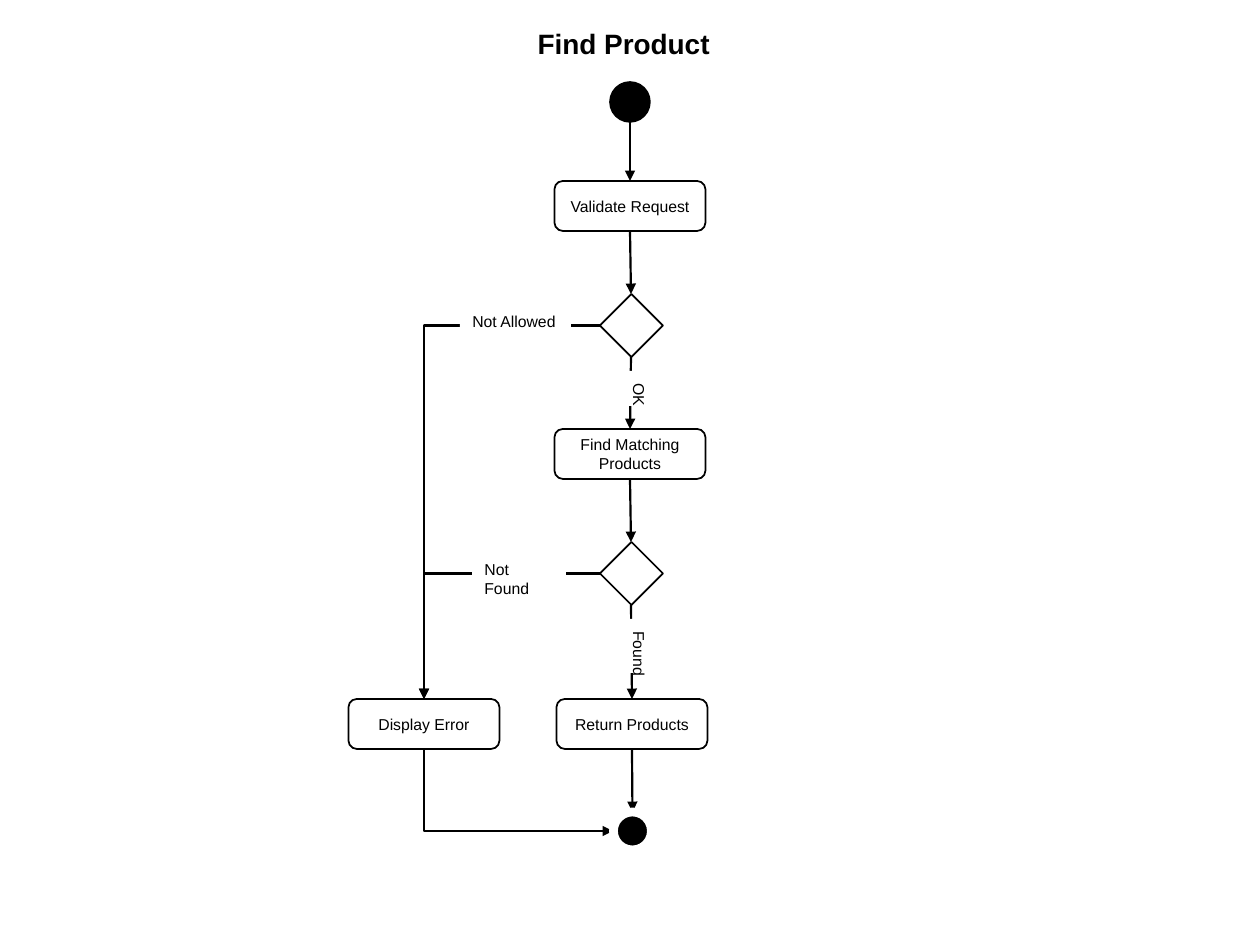
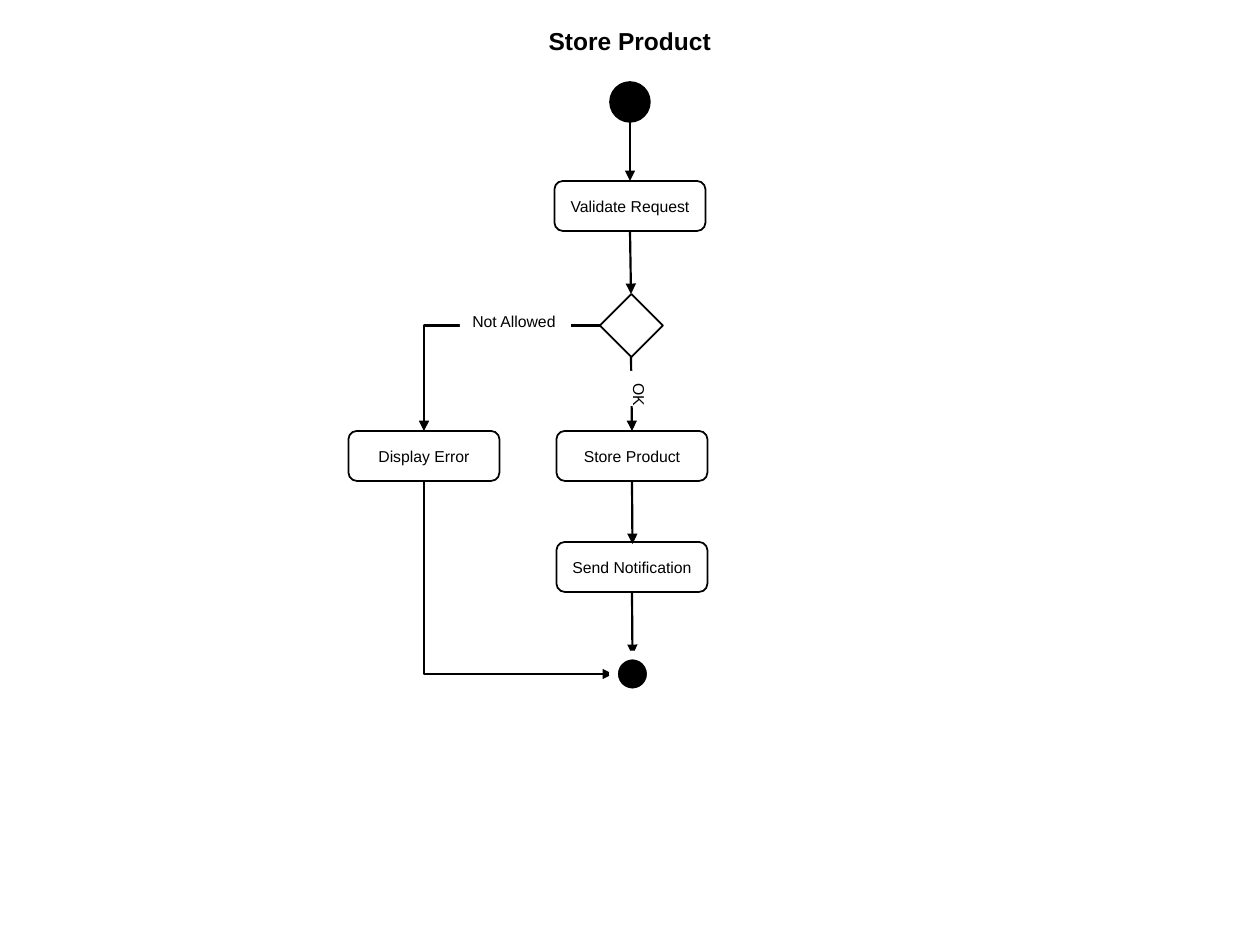
import pptx
import pptx.util
import pptx.dml.color
import pptx.enum.shapes
import pptx.enum.text
import pptx.oxml
import pptx.oxml.ns

SCALE = 914400 / 126
FONT = "Arial"
BLACK, WHITE = "000000", "FFFFFF"
TEXT_SIZE = 9
BOX_W, BOX_H = 151, 50
DIAMOND = 63
DOT = 38
FLOW_X, ERROR_X = 630, 424  # centre lines of the main flow and the error branch
FLOW_TOP = 83
STEP = 63                   # usual length of an arrow
PRESETS = pptx.enum.shapes.MSO_SHAPE
CONNECTORS = pptx.enum.shapes.MSO_CONNECTOR
ALIGN = pptx.enum.text.PP_ALIGN
ANCHOR = pptx.enum.text.MSO_ANCHOR
AUTO_SIZE = pptx.enum.text.MSO_AUTO_SIZE


def px(*lengths):
    """Turn pixels into EMU."""
    return [pptx.util.Emu(round(length * SCALE)) for length in lengths]


def color(hex_string):
    """Make a colour from a hex string."""
    return pptx.dml.color.RGBColor.from_string(hex_string)


def write(frame, words, size=TEXT_SIZE, bold=False, align=ALIGN.LEFT):
    """Write one run into a text frame."""
    paragraph = frame.paragraphs[0]
    paragraph.alignment = align
    run = paragraph.add_run()
    run.text = words
    run.font.name = FONT
    run.font.size = pptx.util.Pt(size)
    run.font.bold = bold
    run.font.color.rgb = color(BLACK)


def add_preset(slide, preset, box, fill=None, line=BLACK, weight=1):
    """Add a preset shape with plain fill and line."""
    shape = slide.shapes.add_shape(preset, *px(*box))
    shape.shadow.inherit = False
    if fill:
        shape.fill.solid()
        shape.fill.fore_color.rgb = color(fill)
    else:
        shape.fill.background()
    if line:
        shape.line.color.rgb = color(line)
        shape.line.width = pptx.util.Pt(weight)
    else:
        shape.line.fill.background()
    return shape


def add_title(slide, words, box, size, wrap):
    """Place the slide title."""
    title = slide.shapes.title
    title.left, title.top, title.width, title.height = px(*box)
    frame = title.text_frame
    frame.word_wrap = wrap
    frame.auto_size = AUTO_SIZE.SHAPE_TO_FIT_TEXT
    frame.vertical_anchor = ANCHOR.TOP
    write(frame, words, size, True)


def add_action(slide, words, center, top):
    """Add a rounded action box."""
    action = add_preset(slide, PRESETS.FLOWCHART_ALTERNATE_PROCESS,
                        (center - BOX_W / 2, top, BOX_W, BOX_H))
    action.text_frame.vertical_anchor = ANCHOR.MIDDLE
    write(action.text_frame, words, align=ALIGN.CENTER)


def add_label(slide, words, box, vertical=False):
    """Add a white label that covers part of an arrow."""
    label = add_preset(slide, PRESETS.RECTANGLE, box, WHITE, None)
    frame = label.text_frame
    frame.word_wrap = not vertical
    frame.auto_size = AUTO_SIZE.SHAPE_TO_FIT_TEXT
    frame.vertical_anchor = ANCHOR.TOP
    if vertical:
        frame._txBody.bodyPr.set("vert", "vert")
    write(frame, words)


def add_arrow(slide, start, end, kind=CONNECTORS.STRAIGHT):
    """Add a connector with a triangle at its end."""
    arrow = slide.shapes.add_connector(kind, *px(*start, *end))
    arrow.line.color.rgb = color(BLACK)
    arrow.line.width = pptx.util.Pt(1.25)
    tail = pptx.oxml.parse_xml(
        '<a:tailEnd %s type="triangle"/>' % pptx.oxml.ns.nsdecls("a"))
    arrow.line._get_or_add_ln().append(tail)
    properties = arrow._element.spPr
    properties.append(pptx.oxml.parse_xml(
        "<a:effectLst %s/>" % pptx.oxml.ns.nsdecls("a")))
    return properties


def add_elbow(slide, start, end, down_first):
    """Add a one-corner arrow: down then right, or left then down."""
    (x1, y1), (x2, y2) = start, end
    half_w, half_h = abs(x2 - x1) / 2, abs(y2 - y1) / 2
    mid_x, mid_y = (x1 + x2) / 2, (y1 + y2) / 2
    if down_first:
        half_w, half_h = half_h, half_w
    properties = add_arrow(slide, (mid_x - half_w, mid_y - half_h),
                           (mid_x + half_w, mid_y + half_h), CONNECTORS.ELBOW)
    properties.find(pptx.oxml.ns.qn("a:prstGeom")).set("prst", "bentConnector2")
    frame = properties.find(pptx.oxml.ns.qn("a:xfrm"))
    frame.set("rot", str((270 if down_first else 180) * 60000))
    frame.set("flipH" if down_first else "flipV", "1")


def add_start(slide, center, top):
    """Draw the start dot and request check; return the decision's top."""
    add_preset(slide, PRESETS.FLOWCHART_CONNECTOR,
               (center - DOT / 2, top, DOT, DOT), BLACK, BLACK, 2)
    check_top = top + 98
    add_arrow(slide, (center, top + DOT), (center, check_top))
    add_action(slide, "Validate Request", center, check_top)
    decision_top = check_top + BOX_H + STEP
    add_arrow(slide, (center, check_top + BOX_H), (center + 1, decision_top))
    return decision_top


def add_decision(slide, top, next_point, error_top, yes, yes_height, no, no_box):
    """Draw a diamond with its labelled yes and no branches."""
    left = FLOW_X - 30
    middle, bottom = top + DIAMOND / 2, top + DIAMOND
    add_preset(slide, PRESETS.FLOWCHART_DECISION, (left, top, DIAMOND, DIAMOND))
    add_elbow(slide, (left, middle), (ERROR_X, error_top), False)
    add_arrow(slide, (FLOW_X + 1, bottom), next_point)
    add_label(slide, yes, (FLOW_X - 19, bottom + 14, 44, yes_height), True)
    no_left, no_width = no_box
    add_label(slide, no, (no_left, top + 12, no_width, 32))


def add_end(slide, error_top, last_bottom, top):
    """Draw the end dot, and the arrows from the last action and the error."""
    center = FLOW_X + 2
    add_action(slide, "Display Error", ERROR_X, error_top)
    add_arrow(slide, (center, last_bottom), (center + 0.5, top))
    add_elbow(slide, (ERROR_X, error_top + BOX_H),
              (center - DOT / 2, top + DOT / 2), True)
    add_preset(slide, PRESETS.FLOWCHART_CONNECTOR,
               (center + 0.5 - DOT / 2, top, DOT, DOT), BLACK, WHITE, 5)


def build_find(slide):
    """Draw the flow that finds a product."""
    add_title(slide, "Find Product", (525, 20, 200, 47), 16, False)
    match_top, result_top = 429, 699
    allowed_top = add_start(slide, FLOW_X, FLOW_TOP)
    add_decision(slide, allowed_top, (FLOW_X, match_top), result_top,
                 "OK", 35, "Not Allowed", (460, 111))
    add_action(slide, "Find Matching Products", FLOW_X, match_top)
    found_top = match_top + BOX_H + STEP
    add_arrow(slide, (FLOW_X, match_top + BOX_H), (FLOW_X + 1, found_top))
    add_decision(slide, found_top, (FLOW_X + 2, result_top), result_top,
                 "Found", 54, "Not Found", (472, 94))
    add_action(slide, "Return Products", FLOW_X + 2, result_top)
    result_bottom = result_top + BOX_H
    add_end(slide, result_top, result_bottom, result_bottom + STEP)


def build_store(slide):
    """Draw the flow that stores a product."""
    add_title(slide, "Store Product", (536, 20, 188, 43), 14, True)
    store_top, notify_top = 431, 542
    center = FLOW_X + 2
    allowed_top = add_start(slide, FLOW_X, FLOW_TOP)
    add_decision(slide, allowed_top, (center, store_top), store_top,
                 "OK", 35, "Not Allowed", (460, 111))
    add_action(slide, "Store Product", center, store_top)
    add_arrow(slide, (center, store_top + BOX_H), (center + 0.5, notify_top + 2))
    add_action(slide, "Send Notification", center, notify_top)
    notify_bottom = notify_top + BOX_H
    add_end(slide, store_top, notify_bottom, notify_bottom + STEP)


deck = pptx.Presentation()
deck.slide_width, deck.slide_height = px(1260, 945)
for build in (build_find, build_store):
    build(deck.slides.add_slide(deck.slide_layouts[5]))
deck.save("out.pptx")
